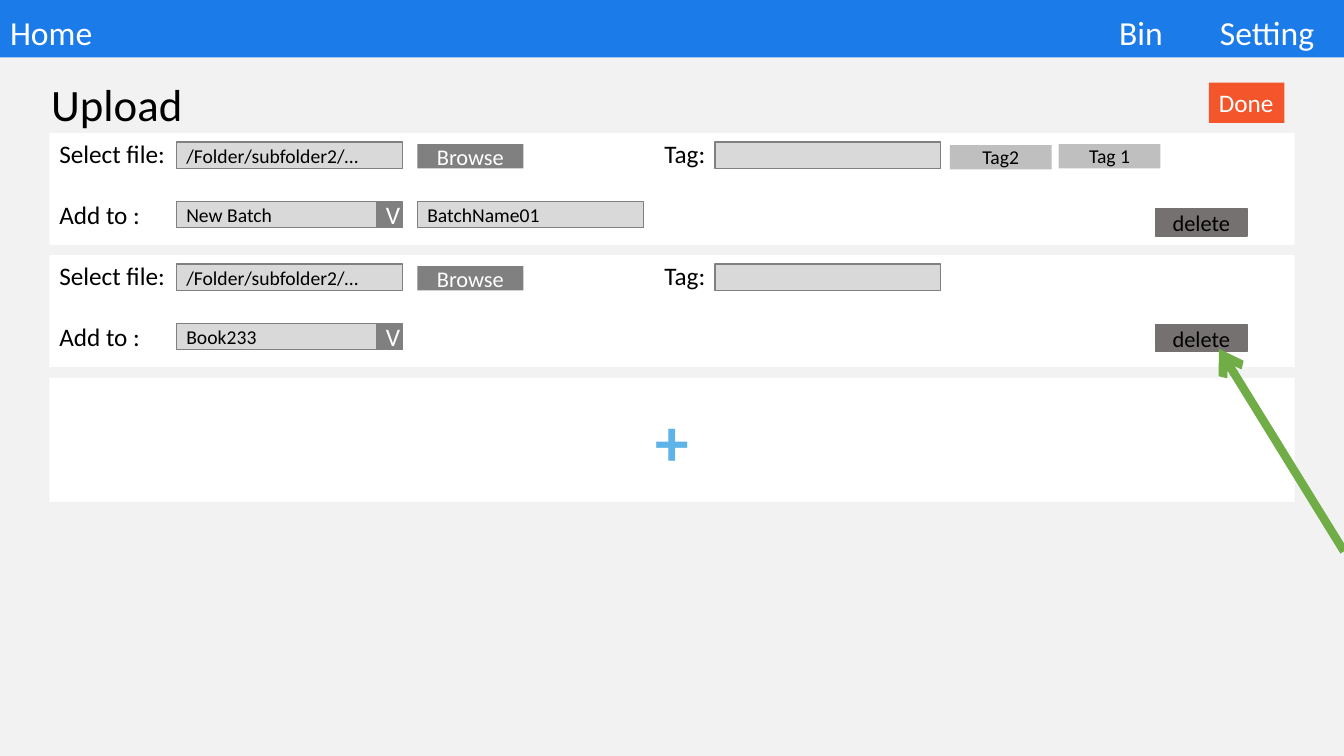
"""Build the upload page mock-up with its file rows, buttons and pointer arrow."""
from lxml import etree
from pptx import Presentation
from pptx.dml.color import RGBColor
from pptx.enum.shapes import MSO_CONNECTOR, MSO_SHAPE
from pptx.enum.text import MSO_ANCHOR, MSO_AUTO_SIZE, PP_ALIGN
from pptx.oxml.ns import qn
from pptx.util import Inches, Pt

RECTANGLE = MSO_SHAPE.RECTANGLE
STRAIGHT = MSO_CONNECTOR.STRAIGHT
TOP, MIDDLE, BOTTOM = MSO_ANCHOR.TOP, MSO_ANCHOR.MIDDLE, MSO_ANCHOR.BOTTOM
LEFT, CENTER = PP_ALIGN.LEFT, PP_ALIGN.CENTER
NO_AUTOFIT = MSO_AUTO_SIZE.NONE

BLACK = RGBColor(0x00, 0x00, 0x00)
WHITE = RGBColor(0xFF, 0xFF, 0xFF)
PAGE_GRAY = RGBColor(0xF2, 0xF2, 0xF2)
FIELD_GRAY = RGBColor(0xD9, 0xD9, 0xD9)
TAG_GRAY = RGBColor(0xBF, 0xBF, 0xBF)
BUTTON_GRAY = RGBColor(0x80, 0x80, 0x80)
DELETE_GRAY = RGBColor(0x76, 0x71, 0x71)
BAR_BLUE = RGBColor(0x1B, 0x7B, 0xE9)
PLUS_BLUE = RGBColor(0x5E, 0xB3, 0xE8)
DONE_ORANGE = RGBColor(0xF4, 0x55, 0x2A)
ARROW_GREEN = RGBColor(0x70, 0xAD, 0x47)


def write(para, text, size, color, align=LEFT, tabs=()):
    para.text = text
    para.alignment = align
    if tabs:
        tab_list = etree.SubElement(para._p.get_or_add_pPr(), qn("a:tabLst"))
        for stop in tabs:
            etree.SubElement(tab_list, qn("a:tab"), pos=str(Inches(stop)), algn="l")
    para.font.name = "Calibri"
    para.font.size = Pt(size)
    para.font.color.rgb = color


def add_box(left, top, width, height, fill, line=None, text="", size=14,
            color=BLACK, align=CENTER, anchor=MIDDLE):
    box = page.shapes.add_shape(
        RECTANGLE, Inches(left), Inches(top), Inches(width), Inches(height))
    box.shadow.inherit = False
    box.fill.solid()
    box.fill.fore_color.rgb = fill
    if line is None:
        box.line.fill.background()
    else:
        box.line.color.rgb = line
        box.line.width = Pt(1)
    box.text_frame.vertical_anchor = anchor
    if text:
        write(box.text_frame.paragraphs[0], text, size, color, align)
    return box


deck = Presentation()
deck.slide_width = Inches(13.33)
deck.slide_height = Inches(7.5)
page = deck.slides.add_slide(deck.slide_layouts[5])
page.background.fill.solid()
page.background.fill.fore_color.rgb = PAGE_GRAY

bar = page.shapes.title
bar.left, bar.top = Inches(0), Inches(0)
bar.width, bar.height = Inches(13.33), Inches(0.57)
bar.fill.solid()
bar.fill.fore_color.rgb = BAR_BLUE
bar.text_frame.auto_size = NO_AUTOFIT
bar.text_frame.vertical_anchor = BOTTOM
bar_para = bar.text_frame.paragraphs[0]
bar_para.line_spacing = 0.9
write(bar_para, "Home\tBin\tSetting", 24, WHITE, tabs=(11, 12))

for text, left, top, width, height, size, color, bold in (
    ("Upload", 0.41, 0.71, 1.5, 0.64, 32, BLACK, False),
    ("+", 6.4, 3.91, 0.54, 0.91, 48, PLUS_BLUE, True),
):
    if text == "+":
        add_box(0.49, 3.75, 12.35, 1.23, WHITE)
    label = page.shapes.add_textbox(
        Inches(left), Inches(top), Inches(width), Inches(height))
    label.text_frame.word_wrap = False
    label_para = label.text_frame.paragraphs[0]
    write(label_para, text, size, color)
    label_para.font.bold = bold

done = add_box(11.99, 0.82, 0.75, 0.4, DONE_ORANGE, None, "Done", 18, WHITE, LEFT, TOP)
done.text_frame.word_wrap = False

for row_top, target, delete_top in ((1.32, "New Batch", 2.07), (2.53, "Book233", 3.22)):
    row = add_box(0.49, row_top, 12.35, 1.11, WHITE, anchor=TOP)
    file_para = row.text_frame.paragraphs[0]
    write(file_para, "Select file:\tTag:", 18, BLACK, tabs=(6,))
    target_para = row.text_frame.add_paragraph()
    target_para.space_before = Pt(22)
    write(target_para, "Add to :", 18, BLACK)

    fields = [(1.75, 0.09, "/Folder/subfolder2/…"), (1.75, 0.68, target), (7.09, 0.09, "")]
    if target == "New Batch":
        fields.append((4.14, 0.68, "BatchName01"))
    for left, offset, text in fields:
        add_box(left, row_top + offset, 2.24, 0.26, FIELD_GRAY, BUTTON_GRAY, text, align=LEFT)

    add_box(4.14, row_top + 0.11, 1.05, 0.24, BUTTON_GRAY, None, "Browse", 16, WHITE)
    add_box(3.73, row_top + 0.68, 0.26, 0.26, BUTTON_GRAY, None, "V", 18, WHITE)
    add_box(11.46, delete_top, 0.91, 0.27, DELETE_GRAY, DELETE_GRAY, "delete", 16)

for text, left, top in (("Tag 1", 10.5, 1.43), ("Tag2", 9.42, 1.44)):
    tag = add_box(left, top, 1.01, 0.24, TAG_GRAY, None, text, anchor=TOP)
    frame = tag.text_frame
    frame.margin_left = frame.margin_top = frame.margin_right = frame.margin_bottom = 0

arrow = page.shapes.add_connector(
    STRAIGHT, Inches(13.33), Inches(5.47), Inches(12.09), Inches(3.46))
arrow.line.color.rgb = ARROW_GREEN
arrow.line.width = Pt(6)
etree.SubElement(arrow.line._get_or_add_ln(), qn("a:tailEnd"), type="arrow")
etree.SubElement(arrow._element.spPr, qn("a:effectLst"))

deck.save("out.pptx")
